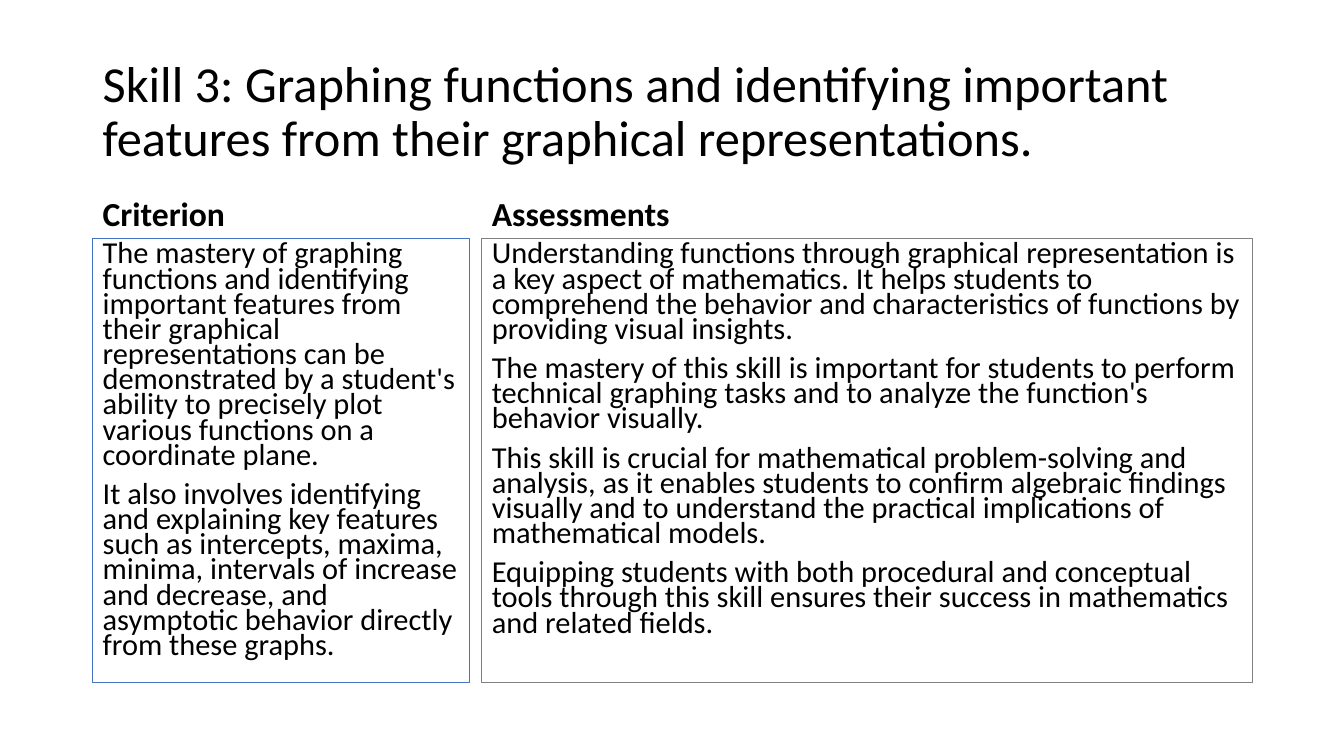
from pptx import Presentation
from pptx.dml.color import RGBColor
from pptx.enum import text
from pptx.util import Inches, Pt

LEFT, GAP = 0.92, 0.12
HEADING_TOP, HEADING_HEIGHT, BODY_HEIGHT = 1.78, 0.59, 4.4
TITLE = ("Skill 3: Graphing functions and identifying important features "
         "from their graphical representations.")
COLUMNS = [
    ("Criterion", 3.74, "4472C4", [
        "The mastery of graphing functions and identifying important features from their "
        "graphical representations can be demonstrated by a student's ability to precisely "
        "plot various functions on a coordinate plane.",
        "It also involves identifying and explaining key features such as intercepts, maxima, "
        "minima, intervals of increase and decrease, and asymptotic behavior directly from "
        "these graphs.",
    ]),
    ("Assessments", 7.64, "808080", [
        "Understanding functions through graphical representation is a key aspect of "
        "mathematics. It helps students to comprehend the behavior and characteristics of "
        "functions by providing visual insights.",
        "The mastery of this skill is important for students to perform technical graphing "
        "tasks and to analyze the function's behavior visually.",
        "This skill is crucial for mathematical problem-solving and analysis, as it enables "
        "students to confirm algebraic findings visually and to understand the practical "
        "implications of mathematical models.",
        "Equipping students with both procedural and conceptual tools through this skill "
        "ensures their success in mathematics and related fields.",
    ]),
]


def color(value):
    return RGBColor.from_string(value)


def add_text(box, paragraphs, size, anchor, line_spacing=0.9, bold=False):
    box = slide.shapes.add_textbox(*map(Inches, box))
    frame = box.text_frame
    frame.word_wrap = True
    frame.vertical_anchor = anchor
    for index, words in enumerate(paragraphs):
        paragraph = frame.paragraphs[0] if index == 0 else frame.add_paragraph()
        paragraph.text = words
        paragraph.line_spacing = line_spacing
        paragraph.space_before = Pt(10 if index else 0)
        font_format = {"name": "Calibri", "size": Pt(size), "bold": bold}
        for name, value in font_format.items():
            setattr(paragraph.font, name, value)
        paragraph.font.color.rgb = color("000000")
    return box


presentation = Presentation()
presentation.slide_width = Inches(13.33)
presentation.slide_height = Inches(7.5)
slide = presentation.slides.add_slide(presentation.slide_layouts[6])

add_text((LEFT, 0.4, 11.5, 1.45), [TITLE], 36, text.MSO_ANCHOR.MIDDLE)

left = LEFT
for heading, width, border, paragraphs in COLUMNS:
    add_text((left, HEADING_TOP, width, HEADING_HEIGHT), [heading], 24,
             text.MSO_ANCHOR.BOTTOM, bold=True)
    body = add_text((left, HEADING_TOP + HEADING_HEIGHT, width, BODY_HEIGHT), paragraphs,
                    21.7, text.MSO_ANCHOR.TOP, line_spacing=0.69)
    body.line.color.rgb = color(border)
    body.line.width = Pt(0.75)
    left += width + GAP

presentation.save("out.pptx")
